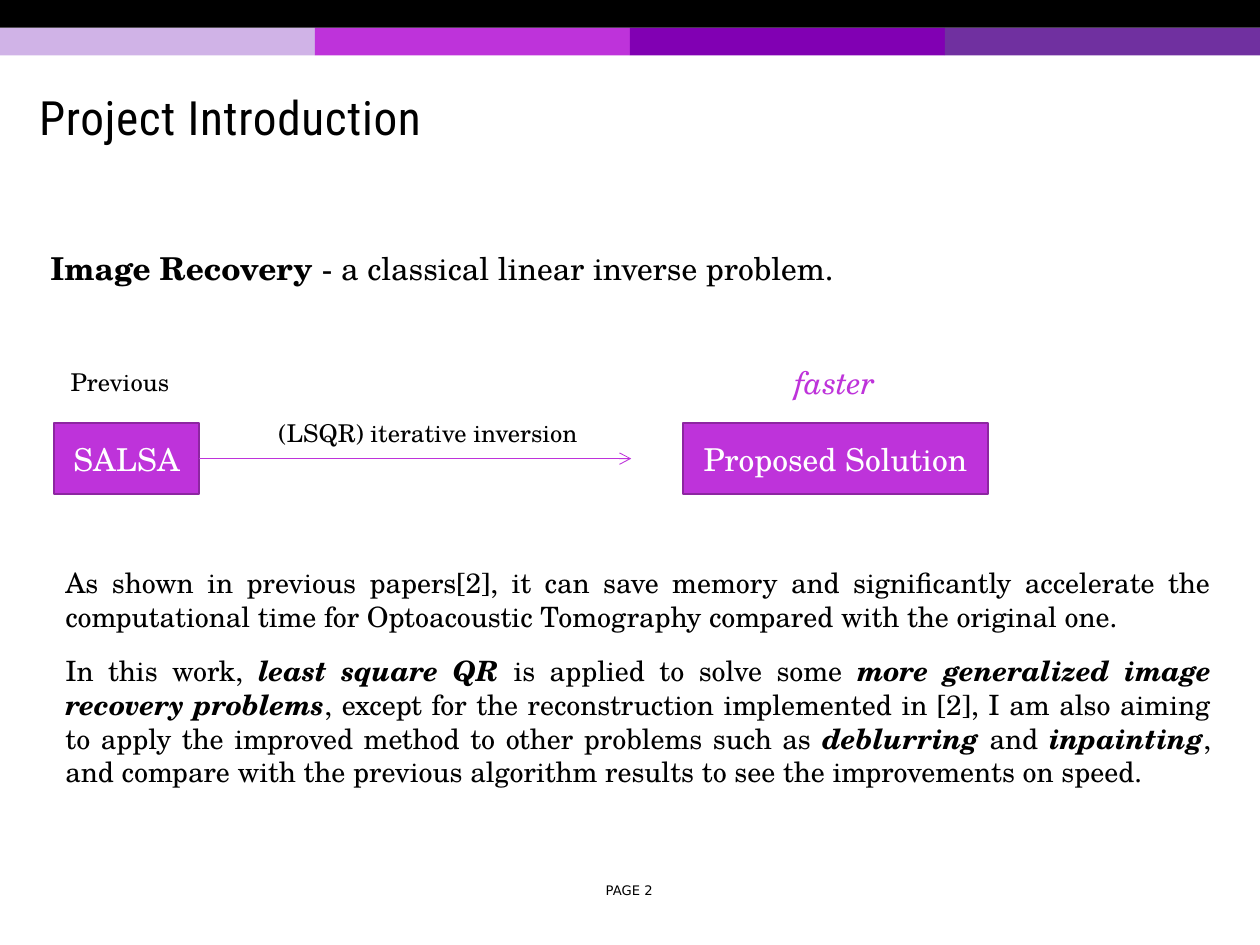
import pptx
import pptx.dml.color
import pptx.enum.shapes
import pptx.enum.text
import pptx.oxml
import pptx.oxml.ns
import pptx.util
from pptx.util import Inches

ALIGN = pptx.enum.text.PP_ALIGN
ANCHOR = pptx.enum.text.MSO_ANCHOR
SHAPE = pptx.enum.shapes.MSO_SHAPE
SERIF = "TeX Gyre Schola"
ORCHID = "BE33DA"
STRONG = {"bold": True, "italic": True}


def rgb(hex_value):
    return pptx.dml.color.RGBColor.from_string(hex_value)


def sub_element(parent, tag, **attributes):
    element = pptx.oxml.parse_xml(f"<{tag} {pptx.oxml.ns.nsdecls('a')}/>")
    for name, value in attributes.items():
        element.set(name, value)
    parent.append(element)


def write(frame, *runs, size=18, font=SERIF, color="000000", align=ALIGN.JUSTIFY,
          before=0, after=0, line=1.0, left=0, hanging=0, tracking=0):
    paragraph = frame.paragraphs[0]
    if paragraph.runs:
        paragraph = frame.add_paragraph()
    properties = paragraph._p.get_or_add_pPr()
    properties.set("marL", str(Inches(left)))
    properties.set("indent", str(-Inches(hanging)))
    sub_element(properties, "a:buNone")
    paragraph.alignment = align
    paragraph.line_spacing = line
    paragraph.space_before = pptx.util.Pt(before)
    paragraph.space_after = pptx.util.Pt(after)
    for text, emphasis in runs:
        run = paragraph.add_run()
        run.text = text
        run.font.name = font
        run.font.size = pptx.util.Pt(size)
        run.font.color.rgb = rgb(color)
        run.font.bold = emphasis.get("bold", False)
        run.font.italic = emphasis.get("italic", False)
        if tracking:
            run._r.get_or_add_rPr().set("spc", str(tracking))


def place(shape, left, top, width, height):
    shape.left, shape.top = Inches(left), Inches(top)
    shape.width, shape.height = Inches(width), Inches(height)


def add_box(slide, preset, left, top, width, height, fill, outline=None):
    box = slide.shapes.add_shape(
        preset, Inches(left), Inches(top), Inches(width), Inches(height))
    box.shadow.inherit = False
    box.fill.solid()
    box.fill.fore_color.rgb = rgb(fill)
    if outline:
        box.line.color.rgb = rgb(outline)
        box.line.width = pptx.util.Pt(1)
    else:
        box.line.fill.background()
    return box


def add_text_box(slide, left, top, width, height, wrap=True, anchor=ANCHOR.TOP):
    frame = slide.shapes.add_textbox(
        Inches(left), Inches(top), Inches(width), Inches(height)).text_frame
    frame.word_wrap = wrap
    frame.vertical_anchor = anchor
    return frame


def add_banner(slide, left, top, width, height):
    band = height / 2
    colors = ["D0B3E7", ORCHID, "8100B3", "7030A0"]
    step = width / len(colors)
    for index, color in enumerate(colors):
        add_box(slide, SHAPE.RECTANGLE, left + index * step, top + band, step, band, color)
    add_box(slide, SHAPE.RECTANGLE, left, top, width, band, "000000")


def add_title(slide, left, top, width, height):
    title = slide.shapes.title
    place(title, left, top, width, height)
    title.text_frame.vertical_anchor = ANCHOR.MIDDLE
    write(title.text_frame, ("Project Introduction", {}), size=27,
          font="Roboto Condensed", align=ALIGN.LEFT, line=0.85, tracking=40)


def add_topic(slide, left, top, width, height):
    topic = slide.placeholders[1]
    place(topic, left, top, width, height)
    frame = topic.text_frame
    frame.auto_size = pptx.enum.text.MSO_AUTO_SIZE.NONE
    frame.margin_top = Inches(0.52)
    write(frame, ("Image Recovery ", {"bold": True}),
          ("- a classical linear inverse problem.", {}), after=6)
    write(frame, ("Previous", {}), size=14, before=39.6, after=6, left=0.16)
    write(frame, ("(LSQR) iterative inversion", {}), size=14, before=6, after=6,
          left=2, hanging=0.19)


def add_step(slide, label, left, top, width, height):
    step = add_box(slide, SHAPE.FLOWCHART_PROCESS, left, top, width, height,
                   ORCHID, outline="8D26A1")
    step.text_frame.vertical_anchor = ANCHOR.MIDDLE
    step.text_frame.word_wrap = True
    write(step.text_frame, (label, {}), color="FFFFFF", align=ALIGN.CENTER)
    return step


def add_flow(slide, left, top, width, height):
    step_height = 0.56
    step_top = top + height - step_height
    salsa = add_step(slide, "SALSA", left, step_top, 1.15, step_height)
    solution_left = left + width - 2.42
    middle = Inches(step_top + step_height / 2)
    arrow = slide.shapes.add_connector(
        pptx.enum.shapes.MSO_CONNECTOR.STRAIGHT,
        Inches(left + 1.15), middle, Inches(solution_left - 0.41), middle)
    arrow.begin_connect(salsa, 3)
    arrow.line.color.rgb = rgb(ORCHID)
    arrow.line.width = pptx.util.Pt(0.5)
    sub_element(arrow.line._get_or_add_ln(), "a:tailEnd", type="arrow")
    sub_element(arrow._element.spPr, "a:effectLst")
    add_step(slide, "Proposed Solution", solution_left, step_top, 2.42, step_height)
    benefit = add_text_box(slide, solution_left + 0.78, top, 0.85, 0.4, wrap=False)
    write(benefit, ("faster", {"italic": True}), color=ORCHID, align=ALIGN.CENTER)


def add_explanation(slide, left, top, width, height):
    frame = add_text_box(slide, left, top, width, height)
    write(frame, (
        "As shown in previous papers[2], it can save memory and significantly "
        "accelerate the computational time for Optoacoustic Tomography compared "
        "with the original one.", {}), size=16, after=6)
    write(frame,
          ("In this work, ", {}),
          ("least square QR ", STRONG),
          ("is applied to solve some ", {}),
          ("more generalized image recovery problems", STRONG),
          (", except for the reconstruction implemented in [2], I am also aiming "
           "to apply the improved method to other problems such as ", {}),
          ("deblurring", STRONG),
          (" and ", {}),
          ("inpainting", STRONG),
          (", and compare with the previous algorithm results to see the "
           "improvements on speed.", {}),
          size=16, before=6, after=6)


def add_page_number(slide, left, top, width, height):
    frame = add_text_box(slide, left, top, width, height, anchor=ANCHOR.MIDDLE)
    write(frame, ("PAGE 2", {}), size=7.5, font="DejaVu Sans", align=ALIGN.CENTER)


def main():
    presentation = pptx.Presentation()
    presentation.slide_width, presentation.slide_height = Inches(10), Inches(7.5)
    slide = presentation.slides.add_slide(presentation.slide_layouts[1])
    add_banner(slide, 0, 0, 10, 0.44)
    add_title(slide, 0.21, 0.47, 9.49, 0.98)
    add_page_number(slide, 4.58, 6.93, 0.83, 0.27)
    add_topic(slide, 0.3, 1.46, 9.7, 2.82)
    add_flow(slide, 0.43, 2.83, 7.41, 1.09)
    add_explanation(slide, 0.42, 4.44, 9.29, 1.88)
    presentation.save("out.pptx")


if __name__ == "__main__":
    main()
